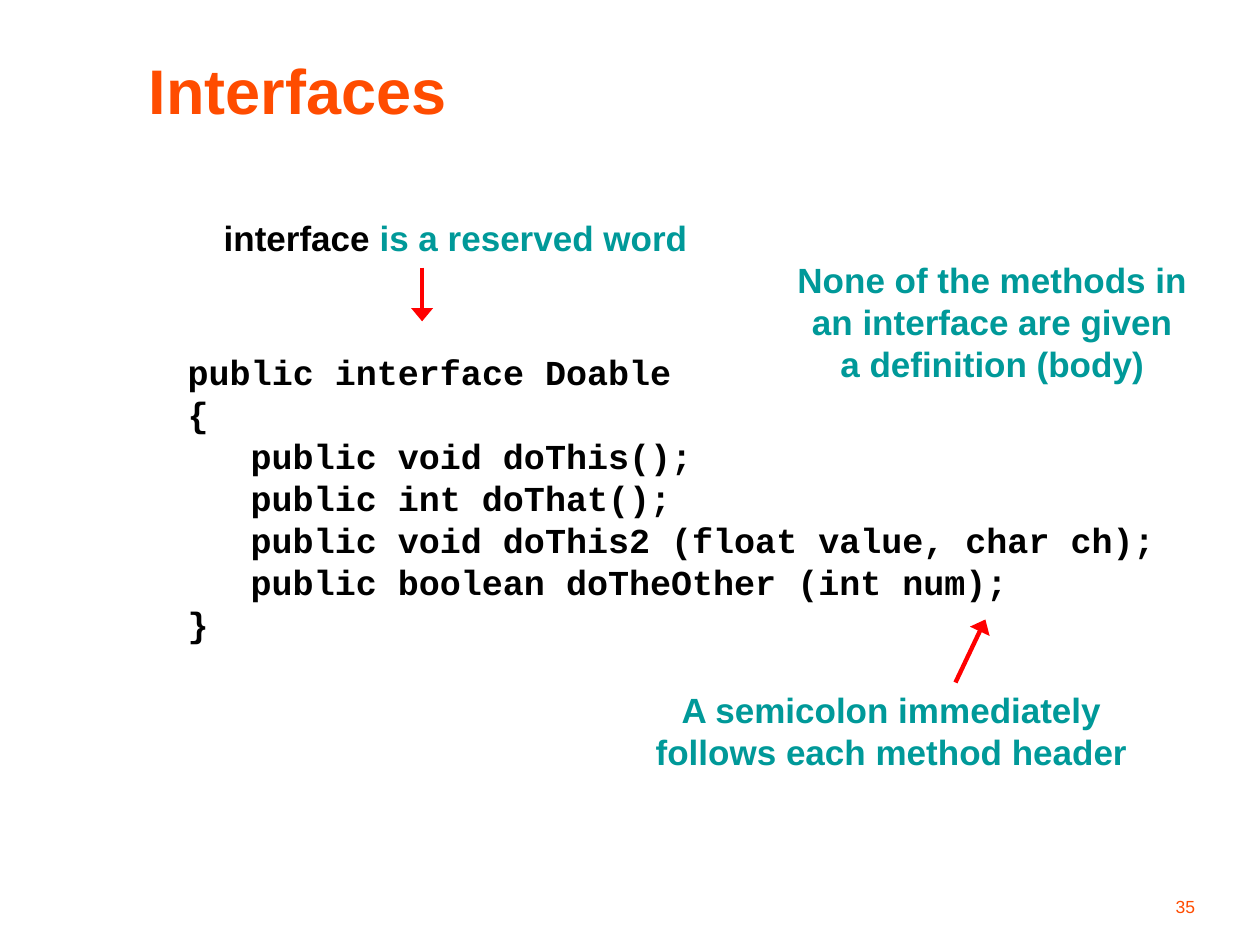
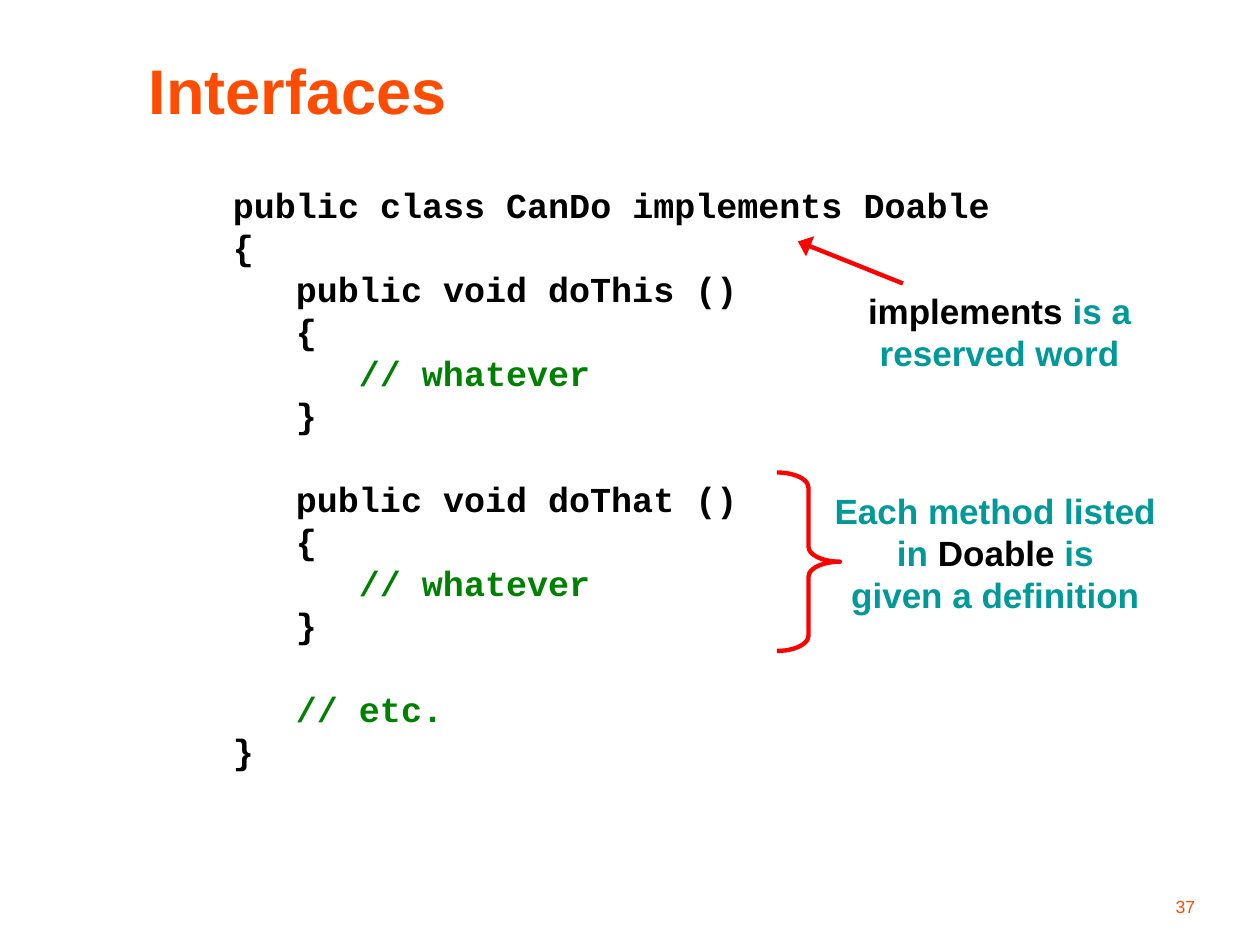
from lxml import etree
from pptx import Presentation, util as u
from pptx.dml.color import RGBColor
from pptx.enum import shapes, text
from pptx.oxml.ns import qn

COLUMNS, ROWS = 120, 90
ORANGE, TEAL, BLACK, GREEN, RED = "FF4C00", "009999", "000000", "008000", "FF0000"
LINE_PITCH = u.Pt(24)
CODE_INDENT = u.Pt(36)

deck = Presentation()
deck.slide_width, deck.slide_height = u.Inches(10), u.Inches(7.5)
column, row = deck.slide_width / COLUMNS, deck.slide_height / ROWS


def color(value):
    return RGBColor.from_string(value)


def write(slide, words, left, top, width, height, size=20, font="Arial", ink=TEAL,
          marked=BLACK, bold=True, align="CENTER", anchor="MIDDLE", pitch=LINE_PITCH):
    box = slide.shapes.add_textbox(int(left * column), int(top * row),
                                   int(width * column), int(height * row))
    frame = box.text_frame
    frame.word_wrap = True
    frame.vertical_anchor = getattr(text.MSO_ANCHOR, anchor)
    gap, paragraph = 0, frame.paragraphs[0]
    for number, line in enumerate(words.split("\n")):
        if not line:
            gap = pitch
            continue
        if number:
            paragraph = frame.add_paragraph()
        paragraph.alignment = getattr(text.PP_ALIGN, align)
        paragraph.space_before, gap = gap, 0
        if pitch:
            paragraph.line_spacing = pitch
        depth = line.count("\t")
        if depth:
            paragraph._p.get_or_add_pPr().set("marL", str(depth * CODE_INDENT))
        for place, part in enumerate(line.strip("\t").split("*")):
            if part:
                run = paragraph.add_run()
                run.text = part
                run.font.size, run.font.name, run.font.bold = u.Pt(size), font, bold
                run.font.color.rgb = color(marked if place % 2 else ink)


interface_code = """public interface Doable
{
\tpublic void doThis();
\tpublic int doThat();
\tpublic void doThis2 (float value, char ch);
\tpublic boolean doTheOther (int num);
}"""

class_code = """public class CanDo implements Doable
{
\tpublic void doThis ()
\t{
\t\t*// whatever*
\t}

\tpublic void doThat ()
\t{
\t\t*// whatever*
\t}

\t*// etc.*
}"""

lessons = [
    dict(page="35", code=interface_code, code_area=(16.7, 32.7, 95.5, 29.3),
         notes=[("*interface* is a reserved word", (19.9, 20, 47, 5.3)),
                ("None of the methods in\nan interface are given\na definition (body)",
                 (74.5, 24, 40, 13.2)),
                ("A semicolon immediately\nfollows each method header", (61, 65, 47.8, 9.1))],
         arrows=[(40.2, 25.5, 40.2, 30.6), (91, 65, 93.85, 59)]),
    dict(page="37", code=class_code, code_area=(21, 16.9, 75.5, 57.2),
         notes=[("*implements* is a\nreserved word", (81.2, 27, 28, 9.1)),
                ("Each method listed\nin *Doable* is\ngiven a definition", (78, 46, 33.6, 13.2))],
         arrows=[(86, 27, 76, 23)]),
]

for lesson in lessons:
    slide = deck.slides.add_slide(deck.slide_layouts[6])
    write(slide, "Interfaces", 13, 4, 104, 9, size=36, ink=ORANGE, align="LEFT", pitch=None)
    write(slide, lesson["code"], *lesson["code_area"], font="Courier New", ink=BLACK,
          marked=GREEN, align="LEFT")
    for words, area in lesson["notes"]:
        write(slide, words, *area)
    for from_x, from_y, to_x, to_y in lesson["arrows"]:
        arrow = slide.shapes.add_connector(
            shapes.MSO_CONNECTOR.STRAIGHT, int(from_x * column), int(from_y * row),
            int(to_x * column), int(to_y * row))
        arrow.line.color.rgb, arrow.line.width = color(RED), u.Pt(2.5)
        etree.SubElement(arrow.line._get_or_add_ln(), qn("a:tailEnd"),
                         type="triangle", w="lg", len="med")
        etree.SubElement(arrow._element.spPr, qn("a:effectLst"))
    write(slide, lesson["page"], 90, 82.95, 25, 5, size=10, ink=ORANGE, bold=False,
          align="RIGHT", anchor="BOTTOM", pitch=None)

method_brace = slide.shapes.add_shape(shapes.MSO_SHAPE.RIGHT_BRACE, int(74 * column),
                                      int(45 * row), int(6 * column), int(17 * row))
method_brace.shadow.inherit = False
method_brace.fill.background()
method_brace.line.color.rgb, method_brace.line.width = color(RED), u.Pt(2.5)
method_brace.adjustments[0] = 0.24

deck.save("out.pptx")
